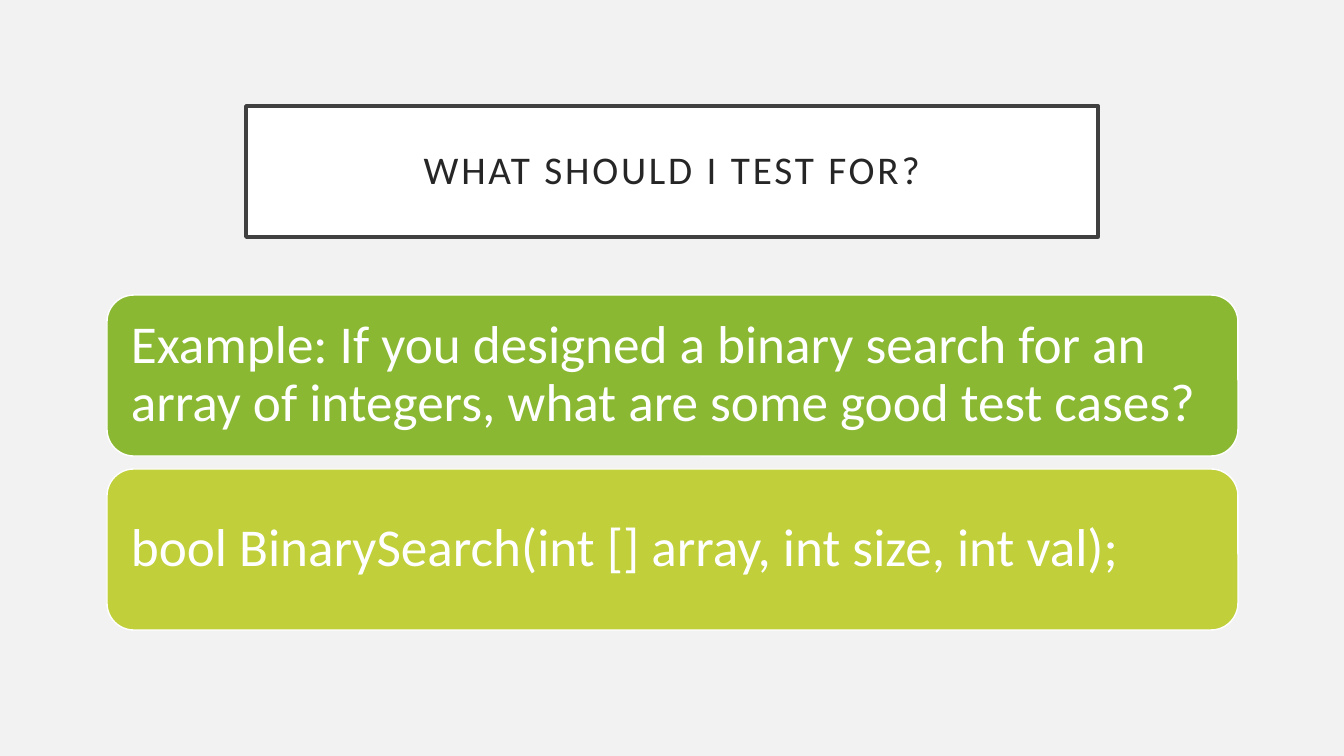
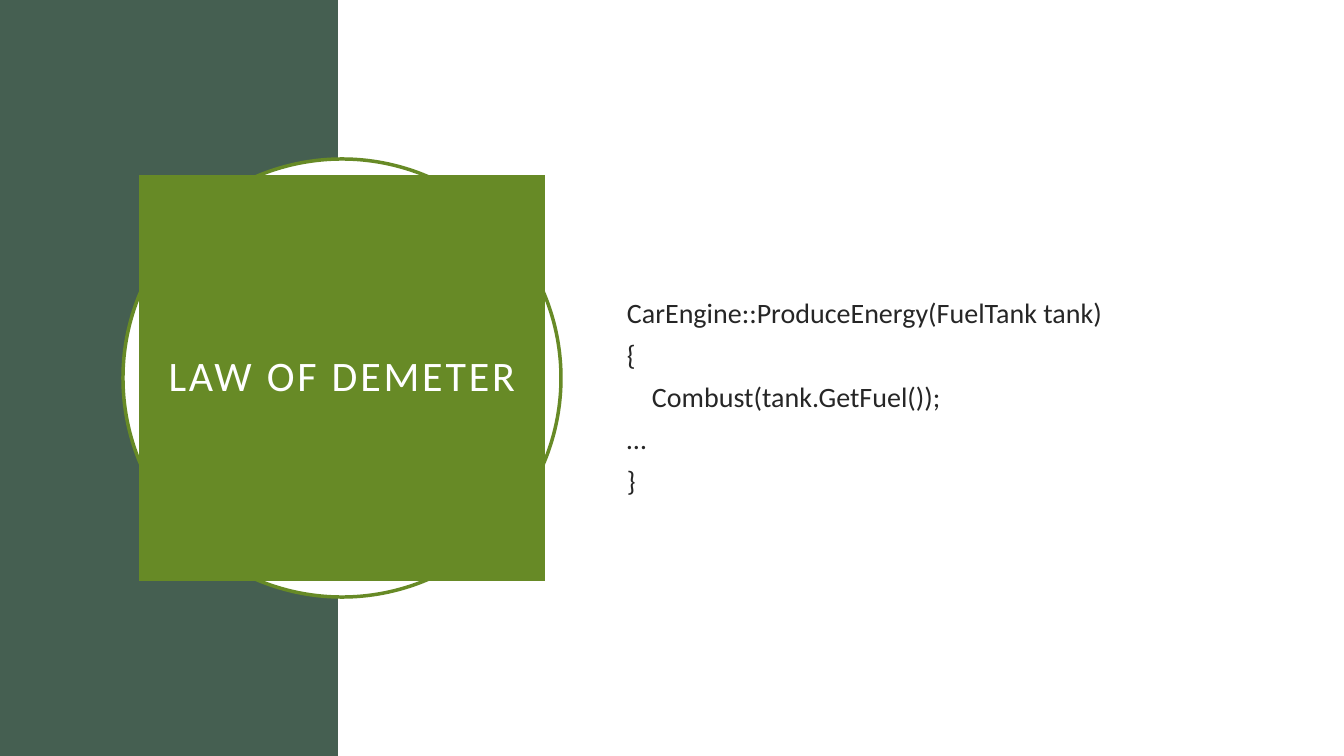
from pptx import Presentation
from pptx.dml.color import RGBColor
from pptx.enum.shapes import MSO_SHAPE
from pptx.enum.text import MSO_ANCHOR, PP_ALIGN
from pptx.util import Emu, Pt

# Shared look
PX = 914400 / 100.8
FONT = "Calibri"
WHITE = RGBColor(0xFF, 0xFF, 0xFF)
PALE_GREY = RGBColor(0xF2, 0xF2, 0xF2)
FRAME_GREY = RGBColor(0x40, 0x40, 0x40)
INK = RGBColor(0x26, 0x26, 0x26)
DARK_GREEN = RGBColor(0x45, 0x5F, 0x51)
OLIVE = RGBColor(0x67, 0x8A, 0x26)
GREEN = RGBColor(0x8A, 0xB8, 0x33)
LIME = RGBColor(0xC0, 0xCF, 0x3A)


def add_block(slide, kind, box, fill, line=None, line_width=2.5):
    shape = slide.shapes.add_shape(kind, *[Emu(round(n * PX)) for n in box])
    shape.shadow.inherit = False
    shape.fill.solid()
    shape.fill.fore_color.rgb = fill
    if line is None:
        shape.line.fill.background()
    else:
        shape.line.color.rgb = line
        shape.line.width = Pt(line_width)
    return shape


def add_text(shape, lines, size, color, inset, align=PP_ALIGN.LEFT,
             line_spacing=0.9, space_after=0, tracking=0):
    frame = shape.text_frame
    frame.word_wrap = True
    frame.vertical_anchor = MSO_ANCHOR.MIDDLE
    frame.margin_left = frame.margin_right = Emu(round(inset * PX))
    frame.margin_top = frame.margin_bottom = Emu(round(inset * PX))
    for index, (text, indent) in enumerate(lines):
        paragraph = frame.paragraphs[0] if index == 0 else frame.add_paragraph()
        paragraph.alignment = align
        paragraph.line_spacing = line_spacing
        paragraph.space_after = Pt(space_after)
        if indent:
            paragraph._p.get_or_add_pPr().set("marL", str(round(indent * PX)))
        run = paragraph.add_run()
        run.text = text
        run.font.name = FONT
        run.font.size = Pt(size)
        run.font.color.rgb = color
        if tracking:
            run._r.get_or_add_rPr().set("spc", str(tracking * 100))


TITLE_STYLE = {"inset": 20, "align": PP_ALIGN.CENTER, "tracking": 2}

presentation = Presentation()
presentation.slide_width = Emu(round(1344 * PX))
presentation.slide_height = Emu(round(756 * PX))
slides = []
for background in (PALE_GREY, WHITE):
    slide = presentation.slides.add_slide(presentation.slide_layouts[6])
    slide.background.fill.solid()
    slide.background.fill.fore_color.rgb = background
    slides.append(slide)
testing, demeter = slides

# Slide 1: framed title
title = add_block(testing, MSO_SHAPE.RECTANGLE, (246, 106, 852, 131), WHITE, FRAME_GREY)
add_text(title, [("WHAT SHOULD I TEST FOR?", 0)], 28, INK, **TITLE_STYLE)

# Slide 1: stacked cards
CARD_TOP, CARD_HEIGHT, CARD_GAP = 295, 161, 13
cards = [
    ("Example: If you designed a binary search for an array of integers, "
     "what are some good test cases?", GREEN),
    ("bool BinarySearch(int [] array, int size, int val);", LIME),
]
for index, (text, fill) in enumerate(cards):
    top = CARD_TOP + index * (CARD_HEIGHT + CARD_GAP)
    card = add_block(testing, MSO_SHAPE.ROUNDED_RECTANGLE,
                     (107, top, 1131, CARD_HEIGHT), fill, WHITE, 1)
    add_text(card, [(text, 0)], 38, WHITE, inset=16)

# Slide 2: side band, ring and title square
add_block(demeter, MSO_SHAPE.RECTANGLE, (0, 0, 338, 756), DARK_GREEN)
add_block(demeter, MSO_SHAPE.OVAL, (123, 159, 438, 438), WHITE, OLIVE)
title = add_block(demeter, MSO_SHAPE.RECTANGLE, (139, 175, 406, 406), OLIVE)
add_text(title, [("LAW OF DEMETER", 0)], 30, WHITE, **TITLE_STYLE)

# Slide 2: code, each line with its indent
code_lines = [
    ("CarEngine::ProduceEnergy(FuelTank tank)", 0),
    ("{", 0),
    ("Combust(tank.GetFuel());", 25),
    ("…", 0),
    ("}", 0),
]
code_box = demeter.shapes.add_textbox(
    *[Emu(round(n * PX)) for n in (617, 193, 587, 407)])
add_text(code_box, code_lines, 20, INK, inset=10, line_spacing=1.0, space_after=6)

presentation.save("out.pptx")
